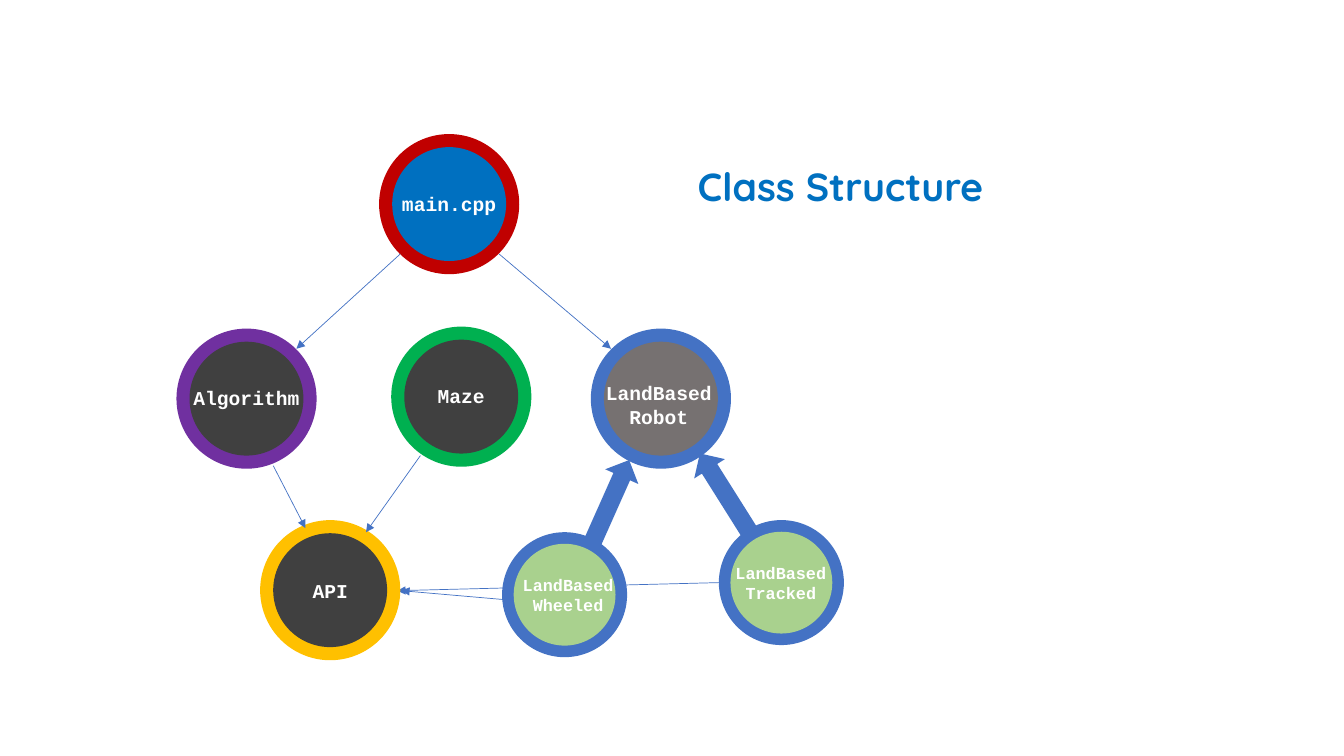
"""Build the class structure slide of the robot program."""
from lxml import etree
from pptx import Presentation
from pptx.dml.color import RGBColor
from pptx.enum.shapes import MSO_CONNECTOR as CONN, MSO_SHAPE as SHAPE
from pptx.enum.text import MSO_ANCHOR as ANCHOR, PP_ALIGN as ALIGN
from pptx.oxml.ns import qn
from pptx.util import Inches, Pt

THEME = {
    "blue": "4472C4", "title": "0070C0", "white": "FFFFFF", "dark": "404040",
    "gray": "767171", "lime": "A9D18E", "purple": "7030A0", "gold": "FFC000",
    "green": "00B050", "red": "C00000",
    "title_font": "Quicksand", "code_font": "Courier New",
    "title_size": 28, "class_size": 14, "derived_size": 12, "line": 0.5,
}

TITLE = ("Class Structure", (5.92, 1.59, 4.83, 0.56))

# label lines, ring left and top, ring and core colours, label box
CLASSES = [
    (["LandBased", "Robot"], (5.86, 3.26), "blue", "gray", (5.88, 3.73, 1.31, 0.57)),
    (["Algorithm"], (1.75, 3.26), "purple", "dark", (1.79, 3.78, 1.31, 0.34)),
    (["API"], (2.58, 5.16), "gold", "dark", (2.62, 5.69, 1.31, 0.34)),
    (["Maze"], (3.88, 3.24), "green", "dark", (3.92, 3.76, 1.31, 0.34)),
    (["main.cpp"], (3.76, 1.33), "red", "title", (3.8, 1.86, 1.31, 0.34)),
]
DERIVED = [
    (["LandBased", "Tracked"], (7.13, 5.16), "blue", "lime", (7.16, 5.53, 1.17, 0.57)),
    (["LandBased", "Wheeled"], (4.98, 5.28), "blue", "lime", (5.02, 5.65, 1.23, 0.59)),
]
CLASS_RING, CLASS_CORE = 1.39, 1.13
DERIVED_RING, DERIVED_CORE = 1.24, 1.01

INHERITS = [((6.72, 4.72, 0.95, 0.36), 237.8), ((5.6, 4.8, 0.91, 0.36), 294)]
TRACKED_TO_API = ((7.13, 5.78), (3.94, 5.86))
USES = [
    ((3.97, 2.52), (2.94, 3.46)),
    ((4.95, 2.52), (6.06, 3.46)),
    ((5.02, 5.95), (3.98, 5.86)),
    ((2.71, 4.62), (3.03, 5.24)),
    ((4.17, 4.52), (3.63, 5.28)),
]


def color(name):
    return RGBColor.from_string(THEME[name])


def add_text(shapes, lines, box, font, size, ink, spacing=None):
    tf = shapes.add_textbox(*map(Inches, box)).text_frame
    tf.word_wrap = True
    if spacing:
        tf.vertical_anchor = ANCHOR.MIDDLE
    for i, line in enumerate(lines):
        p = tf.add_paragraph() if i else tf.paragraphs[0]
        p.alignment = ALIGN.CENTER
        if spacing:
            p.line_spacing = spacing
        r = p.add_run()
        r.text = line
        r.font.name, r.font.size, r.font.bold = THEME[font], Pt(THEME[size]), True
        r.font.color.rgb = color(ink)


def add_filled(shapes, kind, box, fill):
    sp = shapes.add_shape(kind, *map(Inches, box))
    sp.shadow.inherit = False
    sp.fill.solid()
    sp.fill.fore_color.rgb = color(fill)
    sp.line.fill.background()
    return sp


def add_node(slide, node, ring_size, core_size, size):
    lines, (x, y), ring, core, label = node
    group = slide.shapes.add_group_shape().shapes
    inset = (ring_size - core_size) / 2
    add_filled(group, SHAPE.OVAL, (x, y, ring_size, ring_size), ring)
    add_filled(group, SHAPE.OVAL, (x + inset, y + inset, core_size, core_size), core)
    add_text(group, lines, label, "code_font", size, "white")


def add_use(slide, start, end):
    line = slide.shapes.add_connector(CONN.STRAIGHT, *map(Inches, start + end))
    line.line.color.rgb = color("blue")
    line.line.width = Pt(THEME["line"])
    etree.SubElement(line.line._get_or_add_ln(), qn("a:tailEnd"), type="triangle")
    etree.SubElement(line._element.spPr, qn("a:effectLst"))


def main():
    prs = Presentation()
    prs.slide_width, prs.slide_height = Inches(13.33), Inches(7.5)
    s = prs.slides.add_slide(prs.slide_layouts[6])
    add_use(s, *TRACKED_TO_API)
    title, box = TITLE
    add_text(s.shapes, [title], box, "title_font", "title_size", "title", 0.9)
    for node in CLASSES:
        add_node(s, node, CLASS_RING, CLASS_CORE, "class_size")
    for node in DERIVED:
        add_node(s, node, DERIVED_RING, DERIVED_CORE, "derived_size")
    for box, angle in INHERITS:
        add_filled(s.shapes, SHAPE.RIGHT_ARROW, box, "blue").rotation = angle
    for start, end in USES:
        add_use(s, start, end)
    prs.save("out.pptx")


if __name__ == "__main__":
    main()
